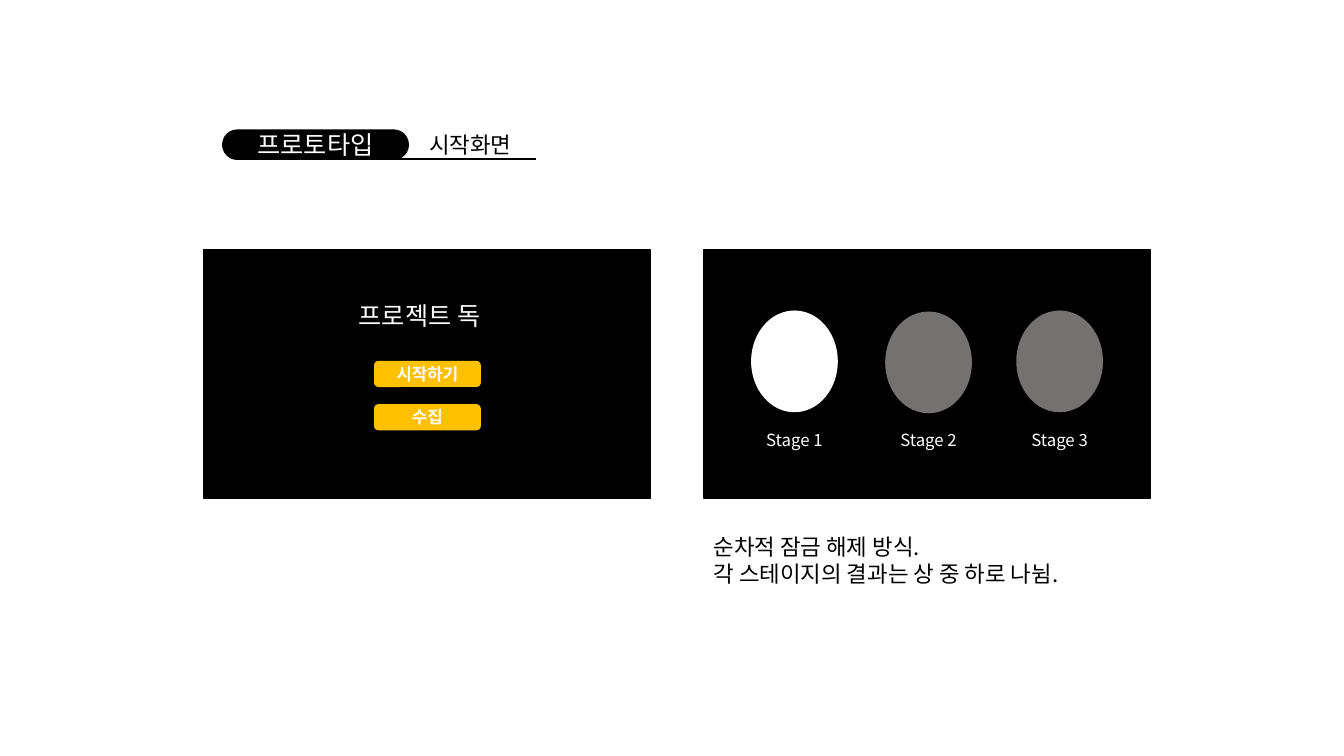
from dataclasses import dataclass

from lxml import etree
from pptx import Presentation
from pptx.dml.color import RGBColor
from pptx.enum.shapes import MSO_CONNECTOR, MSO_SHAPE
from pptx.enum.text import MSO_ANCHOR, MSO_AUTO_SIZE, PP_ALIGN
from pptx.oxml.ns import qn
from pptx.util import Inches, Pt

RECTANGLE = MSO_SHAPE.RECTANGLE
ROUNDED = MSO_SHAPE.ROUNDED_RECTANGLE
OVAL = MSO_SHAPE.OVAL
STRAIGHT = MSO_CONNECTOR.STRAIGHT
LEFT, CENTER = PP_ALIGN.LEFT, PP_ALIGN.CENTER
MIDDLE = MSO_ANCHOR.MIDDLE
GROW = MSO_AUTO_SIZE.SHAPE_TO_FIT_TEXT


@dataclass(frozen=True)
class Theme:
    font: str = "Noto Sans CJK KR"
    black: RGBColor = RGBColor(0x00, 0x00, 0x00)
    white: RGBColor = RGBColor(0xFF, 0xFF, 0xFF)
    amber: RGBColor = RGBColor(0xFF, 0xC0, 0x00)
    locked: RGBColor = RGBColor(0x76, 0x71, 0x71)
    title: Pt = Pt(18)
    body: Pt = Pt(16)
    label: Pt = Pt(12)
    outline: Pt = Pt(1)
    rule: Pt = Pt(1.5)


THEME = Theme()


def write(frame, lines, size, color, align=LEFT, bold=False):
    style = {"name": THEME.font, "size": size, "bold": bold}
    for number, line in enumerate(lines):
        para = frame.add_paragraph() if number else frame.paragraphs[0]
        para.alignment = align
        span = para.add_run()
        span.text = line
        for name, value in style.items():
            setattr(span.font, name, value)
        span.font.color.rgb = color
        latin = span.font._element.find(qn("a:latin"))
        east_asian = etree.Element(qn("a:ea"), typeface=THEME.font)
        latin.addnext(east_asian)


def add_block(shapes, kind, box, fill, outlined=False):
    block = shapes.add_shape(kind, *map(Inches, box))
    block.shadow.inherit = False
    block.fill.solid()
    block.fill.fore_color.rgb = fill
    if outlined:
        block.line.color.rgb = fill
        block.line.width = THEME.outline
    else:
        block.line.fill.background()
    return block


def add_label(block, text, size, bold=False):
    frame = block.text_frame
    frame.vertical_anchor = MIDDLE
    write(frame, [text], size, THEME.white, CENTER, bold)


def add_text(shapes, box, lines, size, color, align=LEFT, wrap=True):
    frame = shapes.add_textbox(*map(Inches, box)).text_frame
    frame.word_wrap = wrap
    frame.auto_size = GROW
    write(frame, lines, size, color, align)


def add_heading(page, box):
    left, top, width, height = box
    shapes = page.shapes.add_group_shape().shapes
    pill = add_block(shapes, ROUNDED, (left, top, 1.84, height), THEME.black, True)
    pill.adjustments[0] = 0.5
    add_label(pill, "프로토타입", THEME.title)
    add_text(shapes, (left + 1.95, top - 0.04, 1.1, 0.37), ["시작화면"],
             THEME.body, THEME.black, wrap=False)
    bottom = top + height
    underline = shapes.add_connector(
        STRAIGHT, *map(Inches, (left + 0.13, bottom, left + width, bottom)))
    underline.line.color.rgb = THEME.black
    underline.line.width = THEME.rule
    etree.SubElement(underline._element.spPr, qn("a:effectLst"))


def add_start_screen(page, box):
    left, top = box[:2]
    add_block(page.shapes, RECTANGLE, box, THEME.black, True)
    for row, caption in enumerate(["시작하기", "수집"]):
        button = add_block(page.shapes, ROUNDED,
                           (left + 1.69, top + 1.1 + 0.43 * row, 1.06, 0.26),
                           THEME.amber)
        add_label(button, caption, THEME.label, True)
    add_text(page.shapes, (left + 1.44, top + 0.45, 1.56, 0.4),
             ["프로젝트 독"], THEME.title, THEME.white)


def add_stage_screen(page, box):
    left, top, _, height = box
    add_block(page.shapes, RECTANGLE, box, THEME.black, True)
    stages = [("Stage 1", 0.47, 0.6, THEME.white),
              ("Stage 2", 1.8, 0.61, THEME.locked),
              ("Stage 3", 3.1, 0.6, THEME.locked)]
    for name, across, down, fill in stages:
        add_block(page.shapes, OVAL, (left + across, top + down, 0.86, 1.01), fill)
        add_text(page.shapes, (left + across, top + 1.73, 0.86, 0.31), [name],
                 THEME.label, THEME.white, CENTER)
    add_text(page.shapes, (left, top + height + 0.3, 4.09, 0.64),
             ["순차적 잠금 해제 방식.", "각 스테이지의 결과는 상 중 하로 나뉨."],
             THEME.body, THEME.black, wrap=False)


def main():
    deck = Presentation()
    deck.slide_width, deck.slide_height = Inches(13.33), Inches(7.5)
    page = deck.slides.add_slide(deck.slide_layouts[6])
    add_start_screen(page, (2.02, 2.48, 4.43, 2.46))
    add_stage_screen(page, (6.98, 2.48, 4.43, 2.46))
    add_heading(page, (2.21, 1.29, 3.11, 0.29))
    deck.save("out.pptx")


if __name__ == "__main__":
    main()
